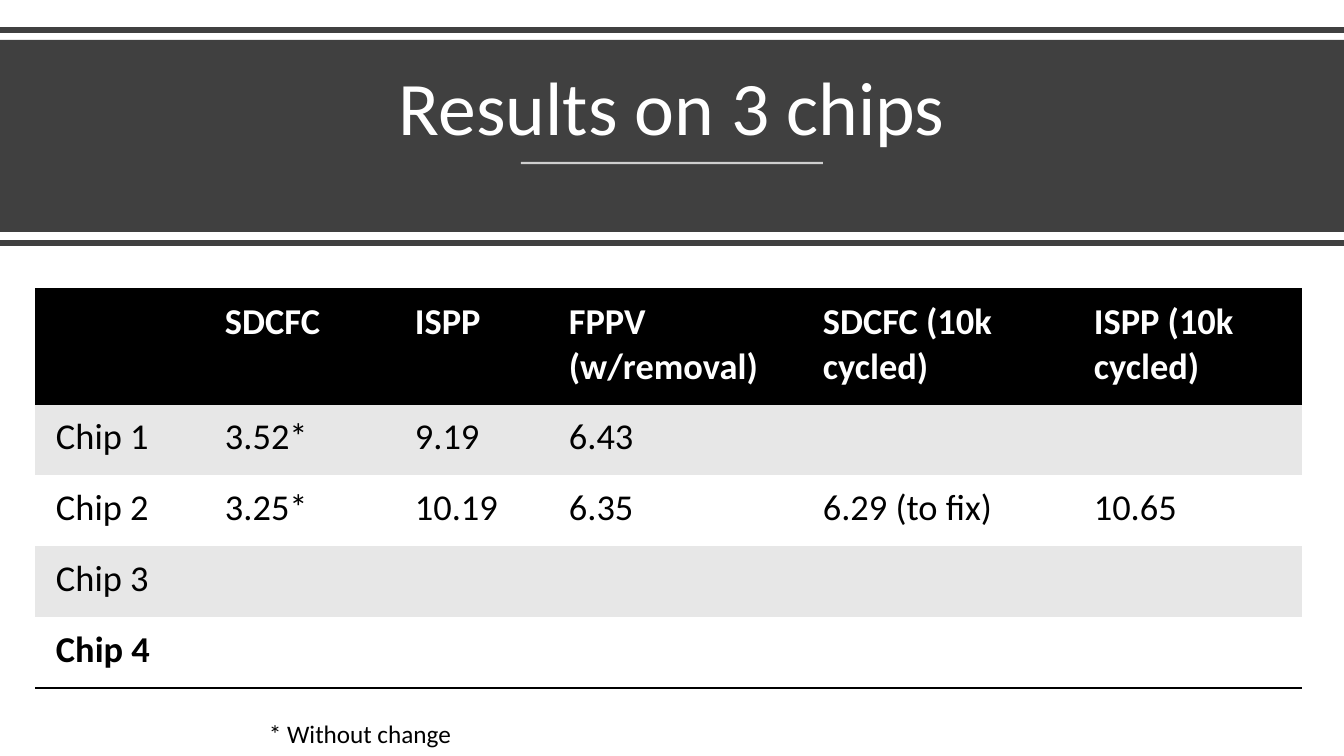
import pptx
import pptx.util
import pptx.dml.color
import pptx.enum.shapes
import pptx.enum.text
import pptx.oxml.ns
from lxml import etree

SCALE = 914400 / 100.8
FONT = "Calibri"
DARK, WHITE, BLACK, BAND = "404040", "FFFFFF", "000000", "E7E7E7"
NO_STYLE = "{2D5ABB26-0587-4C30-8999-92F81FD0307C}"
WIDTH, HEIGHT = 1344, 756
COLUMNS = [169, 190, 154, 254, 271, 229]
ROWS = [
    ["", "SDCFC", "ISPP", "FPPV (w/removal)", "SDCFC (10k cycled)", "ISPP (10k cycled)"],
    ["Chip 1", "3.52*", "9.19", "6.43", "", ""],
    ["Chip 2", "3.25*", "10.19", "6.35", "6.29 (to fix)", "10.65"],
    ["Chip 3", "", "", "", "", ""],
    ["Chip 4", "", "", "", "", ""],
]


def px(n):
    return pptx.util.Emu(round(n * SCALE))


def rgb(color):
    return pptx.dml.color.RGBColor.from_string(color)


def sub(parent, tag, **attrs):
    return etree.SubElement(parent, pptx.oxml.ns.qn(tag), attrs)


def style(p, size, color, bold=False):
    p.font.name = FONT
    p.font.size = pptx.util.Pt(size)
    p.font.bold = bold
    p.font.color.rgb = rgb(color)


def add_rule(s, x1, x2, y, color, weight, alpha=None):
    line = s.shapes.add_connector(
        pptx.enum.shapes.MSO_CONNECTOR.STRAIGHT, px(x1), px(y), px(x2), px(y))
    line.line.color.rgb = rgb(color)
    line.line.width = pptx.util.Pt(weight)
    if alpha:
        fill = line.line._get_or_add_ln().find(pptx.oxml.ns.qn("a:solidFill"))
        sub(fill[0], "a:alpha", val=str(alpha * 1000))
    sub(line._element.spPr, "a:effectLst")


def add_band(s, top, height):
    sp = s.shapes.add_shape(
        pptx.enum.shapes.MSO_SHAPE.RECTANGLE, 0, px(top), px(WIDTH), px(height))
    sp.shadow.inherit = False
    sp.fill.solid()
    sp.fill.fore_color.rgb = rgb(DARK)
    sp.line.fill.background()


def add_text(s, text, box, size, color, wrap=True):
    tf = s.shapes.add_textbox(*map(px, box)).text_frame
    tf.word_wrap = wrap
    p = tf.paragraphs[0]
    p.text = text
    style(p, size, color)
    return tf


def add_border(cell, side):
    ln = sub(cell._tc.get_or_add_tcPr(), side, w=str(pptx.util.Pt(2)))
    sub(sub(ln, "a:solidFill"), "a:srgbClr", val=BLACK)


def fill_cell(cell, text, row):
    header, last = row == 0, row == len(ROWS) - 1
    cell.margin_left = cell.margin_right = px(21)
    cell.margin_top = cell.margin_bottom = px(11)
    if header:
        add_border(cell, "a:lnT")
    if header or last:
        add_border(cell, "a:lnB")
    cell.fill.solid()
    cell.fill.fore_color.rgb = rgb(BLACK if header else BAND if row % 2 else WHITE)
    p = cell.text_frame.paragraphs[0]
    p.text = text
    style(p, 26, WHITE if header else BLACK, header or last)


def add_results(s, left, top):
    heights = [115] + [71] * (len(ROWS) - 1)
    table = s.shapes.add_table(
        len(ROWS), len(COLUMNS), px(left), px(top), px(sum(COLUMNS)), px(sum(heights))).table
    table._tbl.tblPr.find(pptx.oxml.ns.qn("a:tableStyleId")).text = NO_STYLE
    for column, width in zip(table.columns, COLUMNS):
        column.width = px(width)
    for i, values in enumerate(ROWS):
        table.rows[i].height = px(heights[i])
        for j, text in enumerate(values):
            fill_cell(table.cell(i, j), text, i)


def main():
    prs = pptx.Presentation()
    prs.slide_width, prs.slide_height = px(WIDTH), px(HEIGHT)
    s = prs.slides.add_slide(prs.slide_layouts[6])
    add_rule(s, 0, WIDTH, 30, DARK, 4)
    add_band(s, 40, 192)
    title = add_text(s, "Results on 3 chips", (58, 54, 1228, 103), 54, WHITE)
    title.vertical_anchor = pptx.enum.text.MSO_ANCHOR.BOTTOM
    title.paragraphs[0].alignment = pptx.enum.text.PP_ALIGN.CENTER
    title.paragraphs[0].line_spacing = 0.9
    add_rule(s, 521, 823, 163, WHITE, 1.5, 75)
    add_rule(s, 0, WIDTH, 243, DARK, 4)
    add_results(s, 35, 289)
    note = add_text(s, "* Without change", (259, 713, 205, 40), 18, BLACK, False)
    note.auto_size = pptx.enum.text.MSO_AUTO_SIZE.SHAPE_TO_FIT_TEXT
    prs.save("out.pptx")


main()
